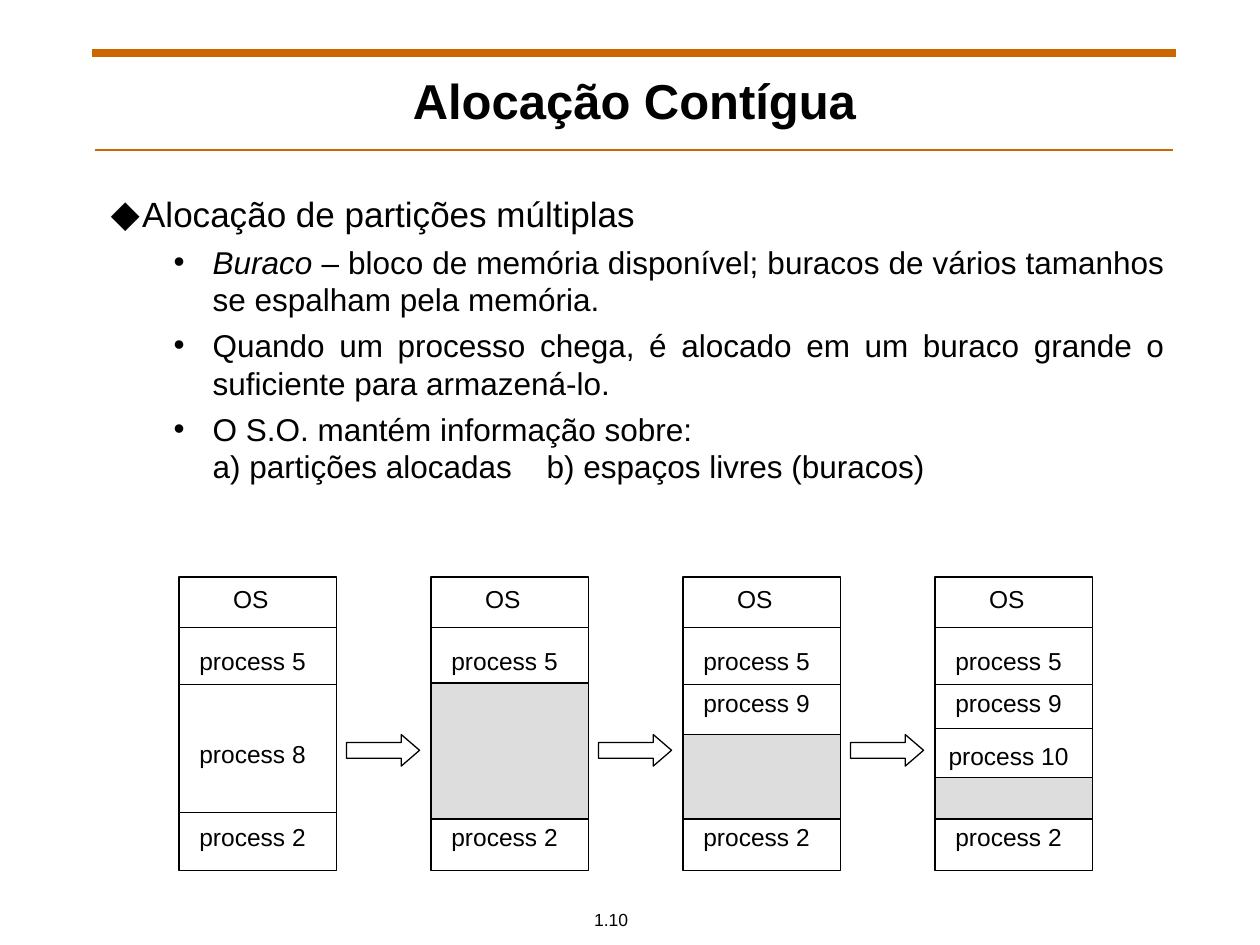
from lxml import etree
from pptx import Presentation, util as u
from pptx.dml.color import RGBColor
from pptx.enum import shapes, text
from pptx.oxml import ns

# Content
TITLE = "Alocação Contígua"
NUMBER = "1.10"
HEAD = "Alocação de partições múltiplas"
# Each point: italic start, plain rest, alignment
POINTS = [
    ("Buraco", " – bloco de memória disponível; buracos de vários tamanhos"
     " se espalham pela memória.", "JUSTIFY"),
    ("", "Quando um processo chega, é alocado em um buraco grande o"
     " suficiente para armazená-lo.", "JUSTIFY"),
    ("", "O S.O. mantém informação sobre:\n"
     "a) partições alocadas\tb) espaços livres (buracos)", "LEFT"),
]
# Labels (text, top) and lines shared by all memory columns
COMMON = [("process 5", 5.07), ("process 2", 6.47)]
LINES = [4.98, 5.43, 6.45]
# What differs per column: hole (top, height), labels, extra lines
COLUMNS = [
    {"hole": None, "labels": [("process 8", 5.81)], "lines": []},
    {"hole": (5.42, 1.08), "labels": [], "lines": []},
    {"hole": (5.83, 0.67), "labels": [("process 9", 5.41)], "lines": []},
    {"hole": (6.17, 0.33), "lines": [5.78],
     "labels": [("process 9", 5.41), ("process 10", 5.83)]},
]
LEFT, STEP, TOP, WIDE, HIGH = 1.42, 2, 4.58, 1.25, 2.33
BLACK, WHITE, GRAY, ORANGE = "000000", "FFFFFF", "DDDDDD", "CC6600"

deck = Presentation()
deck.slide_width, deck.slide_height = u.Inches(10), u.Inches(7.5)
slide = deck.slides.add_slide(deck.slide_layouts[6])


def color(code):
    return RGBColor.from_string(code)


def inches(*sizes):
    return [u.Inches(size) for size in sizes]


def child(parent, tag, **attrs):
    node = etree.SubElement(parent, ns.qn(tag))
    for name, value in attrs.items():
        node.set(name, str(value))
    return node


def line(x, y, end, hue=BLACK, width=0.75):
    rule = slide.shapes.add_connector(
        shapes.MSO_CONNECTOR.STRAIGHT, *inches(x, y, end, y))
    rule.line.color.rgb = color(hue)
    rule.line.width = u.Pt(width)
    child(rule._element.spPr, "a:effectLst")


def block(kind, x, y, w, h, fill=WHITE):
    part = slide.shapes.add_shape(kind, *inches(x, y, w, h))
    part.shadow.inherit = False
    part.fill.solid()
    part.fill.fore_color.rgb = color(fill)
    part.line.color.rgb = color(BLACK)
    part.line.width = u.Pt(0.75)
    return part


def frame(x, y, w, h, wrap=True, anchor="MIDDLE"):
    body = slide.shapes.add_textbox(*inches(x, y, w, h)).text_frame
    body.word_wrap = wrap
    body.vertical_anchor = text.MSO_ANCHOR[anchor]
    return body


def write(para, words, size=14, bold=False, italic=False, align="CENTER"):
    para.alignment = text.PP_ALIGN[align]
    for num, row in enumerate(words.split("\n")):
        if num:
            para.add_line_break()
        run = para.add_run()
        run.text = row
        font = run.font
        font.name, font.size = "Arial", u.Pt(size)
        font.bold, font.italic = bold, italic
        font.color.rgb = color(BLACK)


def bullet(para, mark, margin, hang, scale=100, stops=()):
    props = para._p.get_or_add_pPr()
    props.set("marL", str(u.Inches(margin)))
    props.set("indent", str(-u.Inches(hang)))
    child(child(props, "a:buClr"), "a:srgbClr", val=BLACK)
    child(props, "a:buSzPct", val=scale * 1000)
    child(props, "a:buFont", typeface="Arial")
    child(props, "a:buChar", char=mark)
    if stops:
        tabs = child(props, "a:tabLst")
        for stop in stops:
            child(tabs, "a:tab", pos=u.Inches(stop), algn="l")


# Slide number, rules and title
write(frame(4.38, 7.16, 0.94, 0.27, wrap=False).paragraphs[0], NUMBER, size=10)
line(0.73, 0.42, 9.33, ORANGE, 4.5)
line(0.75, 1.19, 9.31, ORANGE)
write(frame(1.27, 0.54, 7.53, 0.5).paragraphs[0], TITLE, size=28, bold=True)

# Bulleted text
body = frame(0.78, 1.48, 8.56, 3.11, anchor="TOP")
para = body.paragraphs[0]
bullet(para, "⬥", 0.25, 0.25, scale=120)
write(para, HEAD, size=20, align="LEFT")
for start, rest, align in POINTS:
    para = body.add_paragraph()
    para.level = 1
    # The stop counts from the indent or from the box edge, by viewer
    bullet(para, "•", 0.81, 0.31, stops=(2.65, 3.46) if "\t" in rest else ())
    para.space_before = u.Pt(4.5)
    if start:
        write(para, start, size=18, italic=True, align=align)
    write(para, rest, size=18, align=align)

# Memory columns, with an arrow between neighbours
for num, col in enumerate(COLUMNS):
    x = LEFT + num * STEP
    block(shapes.MSO_SHAPE.RECTANGLE, x, TOP, WIDE, HIGH)
    for y in LINES + col["lines"]:
        line(x, y, x + WIDE)
    if col["hole"]:
        y, high = col["hole"]
        block(shapes.MSO_SHAPE.RECTANGLE, x, y, WIDE, high, GRAY)
    write(frame(x + 0.33, TOP, 0.48, 0.34, wrap=False).paragraphs[0], "OS")
    for label, y in COMMON + col["labels"]:
        write(frame(x, y, 1.17, 0.34).paragraphs[0], label)
    if num < len(COLUMNS) - 1:
        arrow = block(shapes.MSO_SHAPE.RIGHT_ARROW, x + 1.33, 5.83, 0.58, 0.25)
        arrow.adjustments[1] = 0.58

deck.save("out.pptx")
